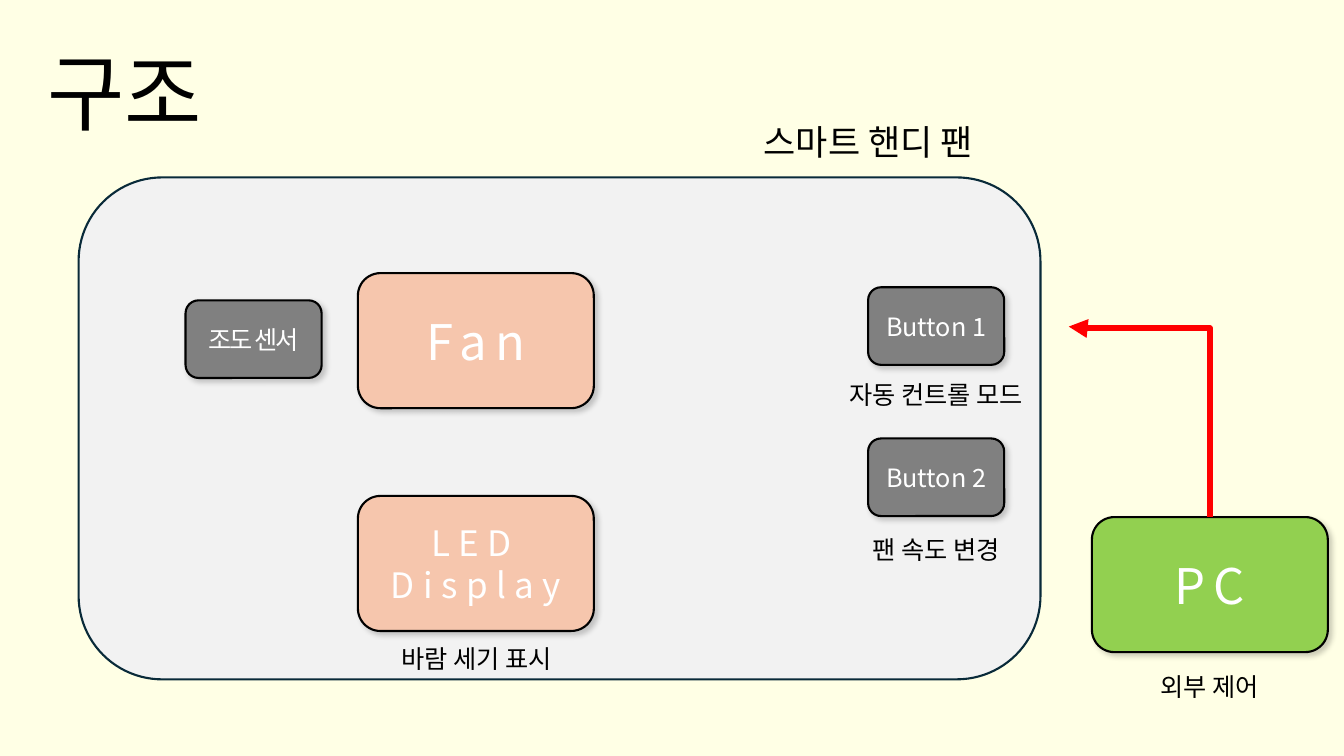
from lxml.etree import SubElement
from pptx import Presentation
from pptx.dml.color import RGBColor
from pptx.enum.shapes import MSO_CONNECTOR as Connector, MSO_SHAPE as Shape
from pptx.enum.text import MSO_ANCHOR as Anchor, MSO_AUTO_SIZE as AutoSize, PP_ALIGN as Align
from pptx.oxml.ns import qn
from pptx.util import Pt

PX = 9144
FONT = "Noto Sans CJK KR"
COLORS = {
    "background": "FFFFE5", "panel": "F2F2F2", "panel_line": "092A39",
    "output": "F6C6AD", "input": "808080", "pc": "92D050",
    "black": "000000", "white": "FFFFFF", "control": "FF0000",
}
TITLE = ("구조", (37, 26, 402, 121))
PANEL = (78, 176, 954, 498)
LARGE, SMALL = (234, 134), (135, 77)
OUTPUT_X, BUTTON_X = 355, 861

PARTS = [
    ("Fan", (OUTPUT_X, 271), LARGE, "output", 35, 600),
    ("Button 1", (BUTTON_X, 285), SMALL, "input", 18, 0),
    ("Button 2", (BUTTON_X, 435), SMALL, "input", 18, 0),
    ("조도 센서", (184, 298), SMALL, "input", 18, -150),
    ("LED Display", (OUTPUT_X, 492), LARGE, "output", 25, 600),
    ("PC", (1083, 513), LARGE, "pc", 35, 600),
]
CAPTIONS = [
    ("바람 세기 표시", (363, 633, 219, 40), 18),
    ("자동 컨트롤 모드", (819, 371, 219, 40), 18),
    ("팬 속도 변경", (819, 525, 219, 40), 18),
    ("외부 제어", (1090, 661, 219, 40), 18),
    ("스마트 핸디 팬", (647, 115, 428, 52), 25),
]
CONTROL_START, CONTROL_END = (1200, 513), (1060, 324)


def color(name):
    return RGBColor.from_string(COLORS[name])


def emu(lengths):
    return [length * PX for length in lengths]


def write(frame, words, size, ink, align=Align.CENTER, spacing=0):
    paragraph = frame.paragraphs[0]
    paragraph.alignment = align
    run = paragraph.add_run()
    run.text = words
    run.font.size = Pt(size)
    run.font.name = FONT
    run.font.color.rgb = color(ink)
    props = run.font._element
    SubElement(props, qn("a:ea"), typeface=FONT)
    if spacing:
        props.set("spc", str(spacing))
    return paragraph


def rounded_box(slide, box, fill, line):
    shape = slide.shapes.add_shape(Shape.ROUNDED_RECTANGLE, *emu(box))
    shape.shadow.inherit = False
    shape.fill.solid()
    shape.fill.fore_color.rgb = color(fill)
    shape.line.color.rgb = color(line)
    shape.line.width = Pt(1.5)
    return shape


def cast_shadow(shape):
    effects = shape._element.spPr.find(qn("a:effectLst"))
    shadow = SubElement(effects, qn("a:outerShdw"), blurRad=str(Pt(4)), dist=str(Pt(3)),
                        dir="2700000", algn="tl", rotWithShape="0")
    tint = SubElement(shadow, qn("a:srgbClr"), val=COLORS["black"])
    SubElement(tint, qn("a:alpha"), val="20000")


def add_part(slide, words, corner, size, fill, points, spacing):
    shape = rounded_box(slide, (*corner, *size), fill, "black")
    cast_shadow(shape)
    shape.text_frame.vertical_anchor = Anchor.MIDDLE
    write(shape.text_frame, words, points, "white", spacing=spacing)


def add_caption(slide, words, box, points):
    frame = slide.shapes.add_textbox(*emu(box)).text_frame
    frame.word_wrap = True
    frame.auto_size = AutoSize.SHAPE_TO_FIT_TEXT
    write(frame, words, points, "black")


def add_control_arrow(slide):
    (x1, y1), (x2, y2) = CONTROL_START, CONTROL_END
    mid_x, mid_y = (x1 + x2) / 2, (y1 + y2) / 2
    half_run, half_rise = (y1 - y2) / 2, (x1 - x2) / 2
    ends = (mid_x - half_run, mid_y + half_rise, mid_x + half_run, mid_y - half_rise)
    arrow = slide.shapes.add_connector(Connector.ELBOW, *[int(end * PX) for end in ends])
    arrow.line.color.rgb = color("control")
    arrow.line.width = Pt(4.5)
    props = arrow._element.spPr
    props.find(qn("a:xfrm")).set("rot", "16200000")
    adjustments = props.find(qn("a:prstGeom")).find(qn("a:avLst"))
    SubElement(adjustments, qn("a:gd"), name="adj1", fmla="val 99100")
    SubElement(props.find(qn("a:ln")), qn("a:tailEnd"), type="triangle")
    SubElement(props, qn("a:effectLst"))


def main():
    deck = Presentation()
    deck.slide_width, deck.slide_height = emu((1333, 750))
    slide = deck.slides.add_slide(deck.slide_layouts[5])
    slide.background.fill.solid()
    slide.background.fill.fore_color.rgb = color("background")

    words, box = TITLE
    title = slide.shapes.title
    title.left, title.top, title.width, title.height = emu(box)
    title.text_frame.auto_size = AutoSize.NONE
    title.text_frame.vertical_anchor = Anchor.BOTTOM
    write(title.text_frame, words, 60, "black", Align.LEFT).line_spacing = 0.9

    rounded_box(slide, PANEL, "panel", "panel_line")
    for part in PARTS:
        add_part(slide, *part)
    add_control_arrow(slide)
    for caption in CAPTIONS:
        add_caption(slide, *caption)
    deck.save("out.pptx")


if __name__ == "__main__":
    main()
